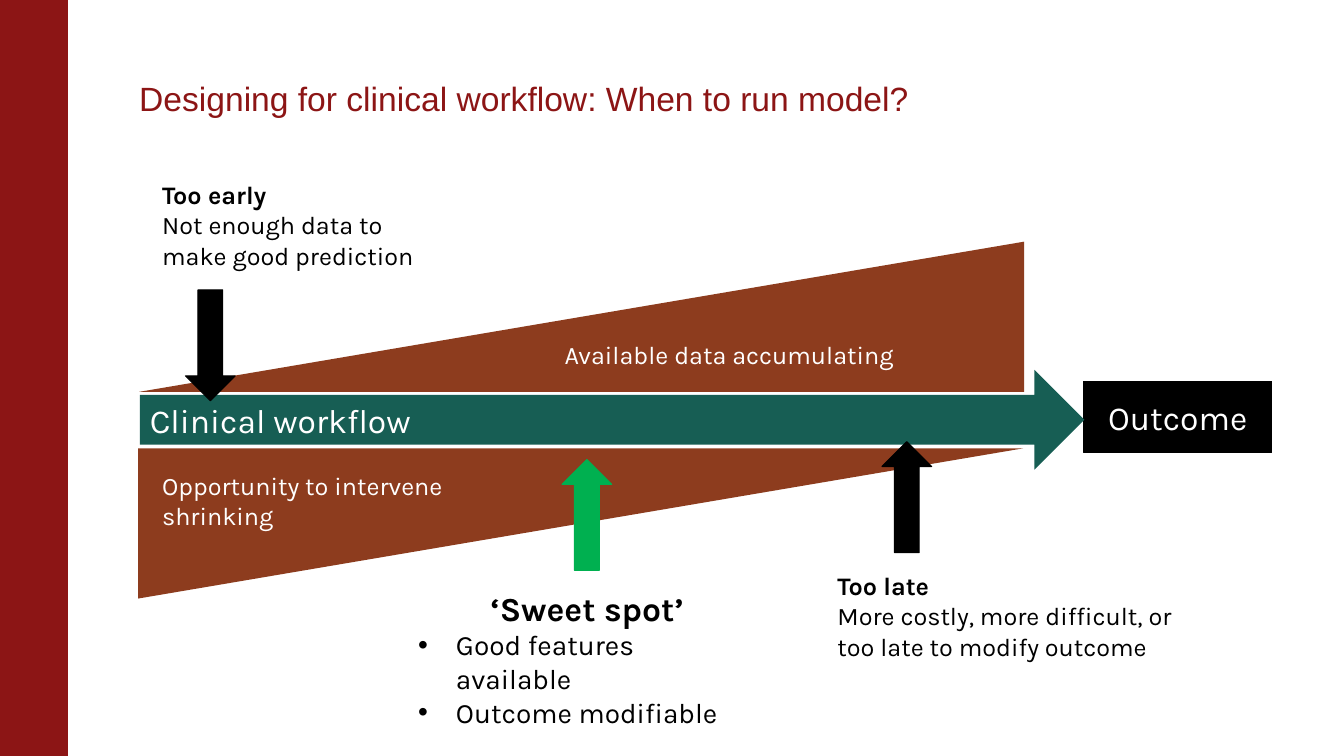
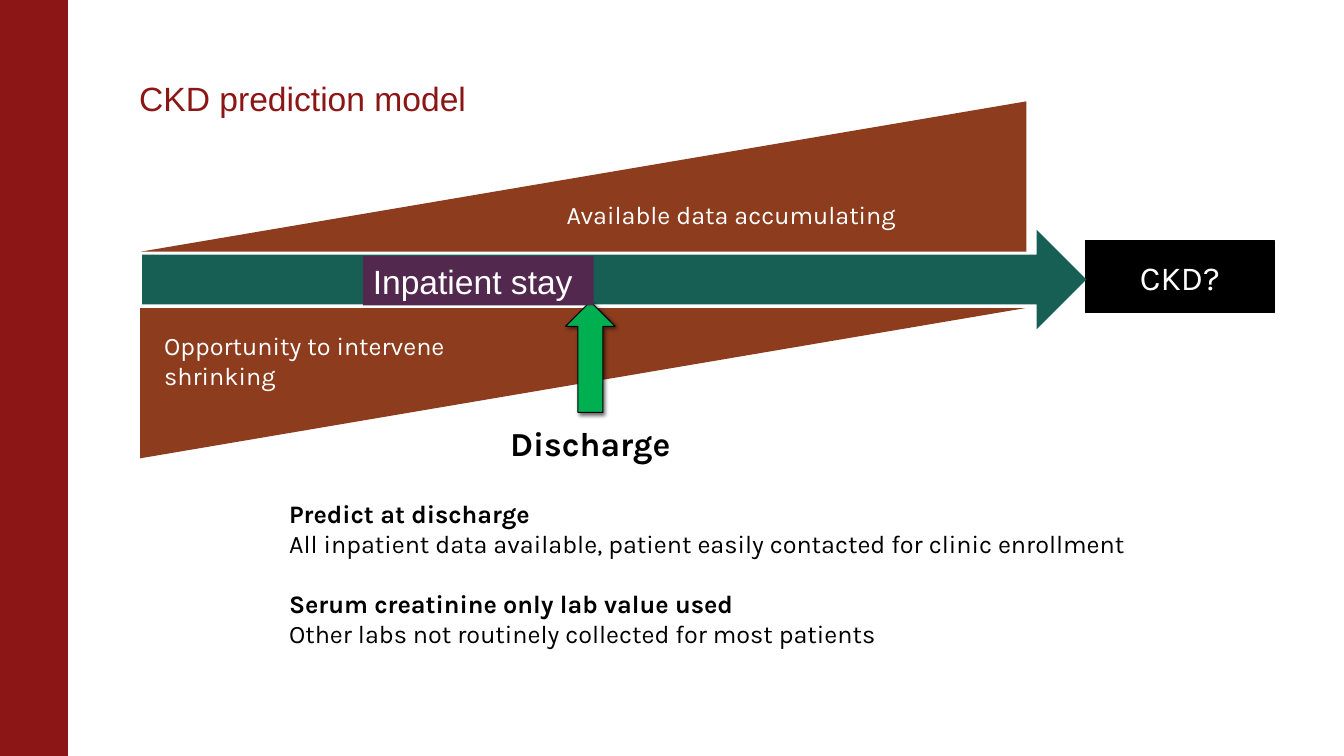
"""Build two slides on when to run a clinical prediction model."""
import dataclasses

import pptx
import pptx.dml.color
import pptx.enum.shapes
import pptx.enum.text
import pptx.oxml
import pptx.oxml.ns
import pptx.util

Pt = pptx.util.Pt
RGB = pptx.dml.color.RGBColor
SHAPE = pptx.enum.shapes.MSO_SHAPE
ALIGN = pptx.enum.text.PP_ALIGN
ANCHOR = pptx.enum.text.MSO_ANCHOR


@dataclasses.dataclass(frozen=True)
class Theme:
    cardinal: RGB = RGB(0x8C, 0x15, 0x15)
    wedge: RGB = RGB(0x8D, 0x3C, 0x1E)
    workflow: RGB = RGB(0x17, 0x5E, 0x54)
    stay: RGB = RGB(0x53, 0x28, 0x4F)
    sweet: RGB = RGB(0x00, 0xB0, 0x50)
    black: RGB = RGB(0, 0, 0)
    white: RGB = RGB(255, 255, 255)
    heading_font: str = "Arial"
    body_font: str = "Karla"
    large: int = 24
    medium: int = 20
    small: int = 18


theme = Theme()


def add_block(slide, preset, box, fill, line=None):
    block = slide.shapes.add_shape(preset, *map(Pt, box))
    block.shadow.inherit = False
    block.fill.solid()
    block.fill.fore_color.rgb = fill
    if line is None:
        block.line.fill.background()
    else:
        block.line.color.rgb = line
        block.line.width = Pt(0.75)
    return block


def write(frame, paragraphs, color=theme.black, font=theme.body_font):
    frame.word_wrap = True
    for index, (text, size, bold, layout) in enumerate(paragraphs):
        paragraph = frame.add_paragraph() if index else frame.paragraphs[0]
        for name, value in {"alignment": ALIGN.LEFT, **layout}.items():
            setattr(paragraph, name, value)
        run = paragraph.add_run()
        run.text = text
        for name, value in {"name": font, "size": Pt(size), "bold": bold}.items():
            setattr(run.font, name, value)
        run.font.color.rgb = color


centred = {"alignment": ALIGN.CENTER}
title_format = {
    "margin_left": 0, "margin_right": Pt(7.2), "margin_top": Pt(3.6), "margin_bottom": Pt(3.6),
    "vertical_anchor": ANCHOR.BOTTOM, "auto_size": pptx.enum.text.MSO_AUTO_SIZE.NONE,
}
title_place = {"left": Pt(99.4), "top": Pt(37.4), "width": Pt(809.3), "height": Pt(51.1)}

presentation = pptx.Presentation()
presentation.slide_width, presentation.slide_height = Pt(960), Pt(540)
title_only = presentation.slide_layouts[5]

diagrams = [
    ("Designing for clinical workflow: When to run model?", "Clinical workflow", "Outcome", 100, 264.2),
    ("CKD prediction model", "", "CKD?", 101.5, 164),
]
for heading, process, outcome, left, top in diagrams:
    slide = presentation.slides.add_slide(title_only)
    title = slide.shapes.title
    for name, value in title_place.items():
        setattr(title, name, value)
    for name, value in title_format.items():
        setattr(title.text_frame, name, value)
    write(title.text_frame, [(heading, theme.large, False, {"line_spacing": 0.85})],
          theme.cardinal, theme.heading_font)

    result = add_block(slide, SHAPE.RECTANGLE, (left + 674, top + 8, 134.6, 51.1), theme.black, theme.black)
    write(result.text_frame, [(outcome, theme.large, False, centred)], theme.white)

    timeline = add_block(slide, SHAPE.RIGHT_ARROW, (left, top, 674.6, 71.3), theme.workflow)
    if process:
        write(timeline.text_frame, [(process, theme.large, False, {})], theme.white)

    opportunity = add_block(slide, SHAPE.RIGHT_TRIANGLE, (left - 1.4, top + 56.1, 632.2, 107.3), theme.wedge)
    opportunity.element.spPr.xfrm.set("flipV", "1")
    available = add_block(slide, SHAPE.RIGHT_TRIANGLE, (left - 0.6, top - 91.6, 632.2, 107.3), theme.wedge)
    available.element.spPr.xfrm.set("flipH", "1")
    write(available.text_frame, [("Available data accumulating", theme.small, False, centred)], theme.white)

    shrinking = slide.shapes.add_textbox(*map(Pt, (left + 8.7, top + 68.4, 285.8, 28.8)))
    write(shrinking.text_frame, [("Opportunity to intervene shrinking", theme.small, False, {})], theme.white)

timing, kidney = presentation.slides

band = add_block(timing, SHAPE.RECTANGLE, (0, 0, 48.4, 540.7), theme.cardinal, theme.cardinal)
band.element.nvSpPr.cNvPr.set("id", "100")
title_only.shapes.element.insert(2, band.element)

markers = [
    (timing, SHAPE.DOWN_ARROW, 132.5, 207.1, theme.black, theme.black),
    (timing, SHAPE.UP_ARROW, 630, 315.5, theme.black, theme.black),
    (timing, SHAPE.UP_ARROW, 401.5, 328.2, theme.sweet, theme.sweet),
    (kidney, SHAPE.UP_ARROW, 404, 215.4, theme.sweet, theme.black),
]
for slide, preset, left, top, fill, line in markers:
    marker = add_block(slide, preset, (left, top, 35.5, 79.2), fill, line)

discharge_effects = marker.element.spPr.find(pptx.oxml.ns.qn("a:effectLst"))
discharge_effects.append(pptx.oxml.parse_xml(
    f'<a:outerShdw {pptx.oxml.ns.nsdecls("a")} blurRad="{Pt(3)}" dist="{Pt(2)}" dir="2700000">'
    '<a:srgbClr val="000000"><a:alpha val="60000"/></a:srgbClr></a:outerShdw>'))

notes = [
    (timing, (108.7, 124.6, 210.2, 72.7), [
        ("Too early", theme.small, True, {}),
        ("Not enough data to make good prediction", theme.small, False, {}),
    ]),
    (timing, (591.1, 403.9, 270, 72.7), [
        ("Too late", theme.small, True, {}),
        ("More costly, more difficult, or too late to modify outcome", theme.small, False, {}),
    ]),
    (timing, (291.6, 416.2, 255.6, 85), [
        ("‘Sweet spot’", theme.large, True, centred),
        ("Good features available", theme.medium, False, {}),
        ("Outcome modifiable", theme.medium, False, {}),
    ]),
    (kidney, (199.4, 352.1, 649.4, 116.6), [
        ("Predict at discharge", theme.small, True, {}),
        ("All inpatient data available, patient easily contacted for clinic enrollment", theme.small, False, {}),
        ("Serum creatinine only lab value used", theme.small, True, {"space_before": Pt(21.4)}),
        ("Other labs not routinely collected for most patients", theme.small, False, {}),
    ]),
    (kidney, (293.8, 298.8, 255.6, 36), [("Discharge", theme.large, True, centred)]),
]
for slide, box, paragraphs in notes:
    note = slide.shapes.add_textbox(*map(Pt, box))
    write(note.text_frame, paragraphs)
    for paragraph, (_, size, _, _) in zip(note.text_frame.paragraphs, paragraphs):
        if size == theme.medium:
            properties = paragraph._p.get_or_add_pPr()
            properties.set("marL", str(Pt(27)))
            properties.set("indent", str(Pt(-27)))
            for bullet in ('buFont {} typeface="Arial"', 'buChar {} char="•"'):
                properties.append(pptx.oxml.parse_xml(f'<a:{bullet.format(pptx.oxml.ns.nsdecls("a"))}/>'))

stay = add_block(kidney, SHAPE.RECTANGLE, (259.2, 182.9, 164.9, 35.3), theme.stay)
write(stay.text_frame, [("Inpatient stay", theme.large, False, {})], theme.white, theme.heading_font)

presentation.save("out.pptx")
